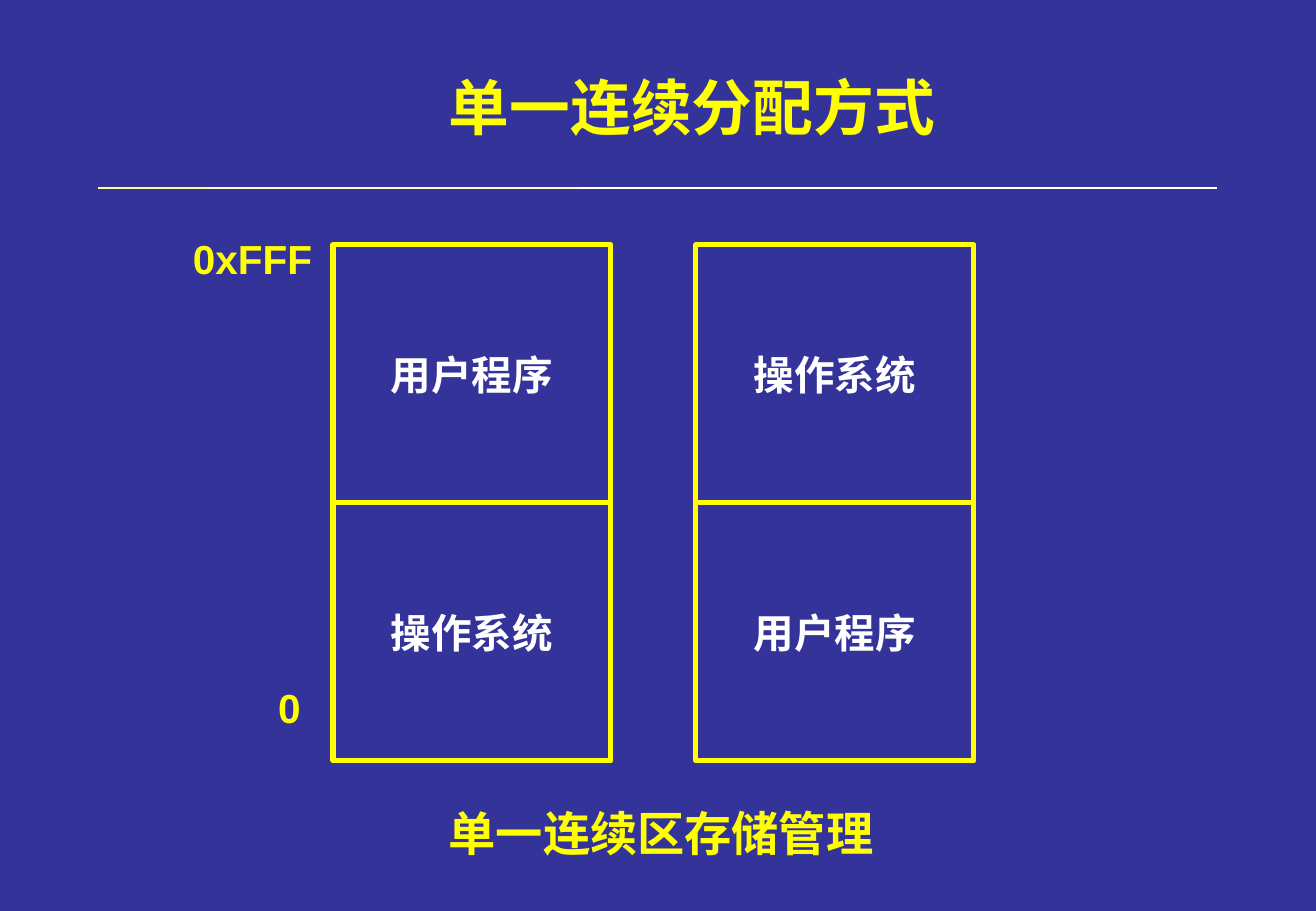
from lxml import etree
from pptx import Presentation
from pptx.dml.color import RGBColor
from pptx.enum.shapes import MSO_CONNECTOR, MSO_SHAPE
from pptx.enum.text import MSO_ANCHOR, MSO_AUTO_SIZE, PP_ALIGN
from pptx.oxml.ns import qn
from pptx.util import Pt

RECT = MSO_SHAPE.RECTANGLE
STRAIGHT = MSO_CONNECTOR.STRAIGHT
MIDDLE = MSO_ANCHOR.MIDDLE
CENTER = PP_ALIGN.CENTER
NO_AUTOFIT = MSO_AUTO_SIZE.NONE
PX = 7526  # EMU per px
CJK = "Noto Sans CJK SC"
YELLOW, WHITE = "FFFF00", "FFFFFF"


def rgb(value):
    return RGBColor.from_string(value)


def write(sp, text, size, font, color):
    """Fill a shape with one bold line centred both ways."""
    tf = sp.text_frame
    tf.auto_size = NO_AUTOFIT
    tf.word_wrap = False
    tf.vertical_anchor = MIDDLE
    tf.margin_left = tf.margin_right = tf.margin_top = tf.margin_bottom = 0
    p = tf.paragraphs[0]
    p.alignment = CENTER
    r = p.add_run()
    r.text = text
    r.font.size = Pt(size)
    r.font.bold = True
    r.font.color.rgb = rgb(color)
    r.font.name = font
    etree.SubElement(r.font._element, qn("a:ea"), typeface=CJK)


prs = Presentation()
prs.slide_width, prs.slide_height = 1316 * PX, 911 * PX
s = prs.slides.add_slide(prs.slide_layouts[5])
s.background.fill.solid()
s.background.fill.fore_color.rgb = rgb("333399")

# Title
title = s.shapes.title
title.left, title.top, title.width, title.height = 433 * PX, 63 * PX, 518 * PX, 86 * PX
write(title, "单一连续分配方式", 36, CJK, YELLOW)

# Rule under the title
for x1, x2, color in [(580, 1217, WHITE), (186, 580, "FFFFCC"), (98, 208, "FFFF99")]:
    rule = s.shapes.add_connector(STRAIGHT, x1 * PX, 188 * PX, x2 * PX, 188 * PX)
    rule.line.color.rgb = rgb(color)
    rule.line.width = Pt(0.75)
    etree.SubElement(rule._element.spPr, qn("a:effectLst"))

# Memory layouts, each from high to low addresses
BLOCK_W, BLOCK_H, MEMORY_TOP = 278, 258, 245
memories = [(333, ["用户程序", "操作系统"]), (696, ["操作系统", "用户程序"])]
for x, blocks in memories:
    for i, name in enumerate(blocks):
        y = MEMORY_TOP + i * BLOCK_H
        block = s.shapes.add_shape(RECT, x * PX, y * PX, BLOCK_W * PX, BLOCK_H * PX)
        block.shadow.inherit = False
        block.fill.background()
        block.line.color.rgb = rgb(YELLOW)
        block.line.width = Pt(3)
        write(block, name, 24, "Times New Roman", WHITE)

# Addresses and caption
labels = [
    ("0xFFF", 180, 227, 145, 62, 24),
    ("0", 266, 676, 47, 62, 24),
    ("单一连续区存储管理", 433, 798, 456, 69, 28),
]
for text, x, y, w, h, size in labels:
    label = s.shapes.add_textbox(x * PX, y * PX, w * PX, h * PX)
    write(label, text, size, "Arial", YELLOW)

prs.save("out.pptx")
